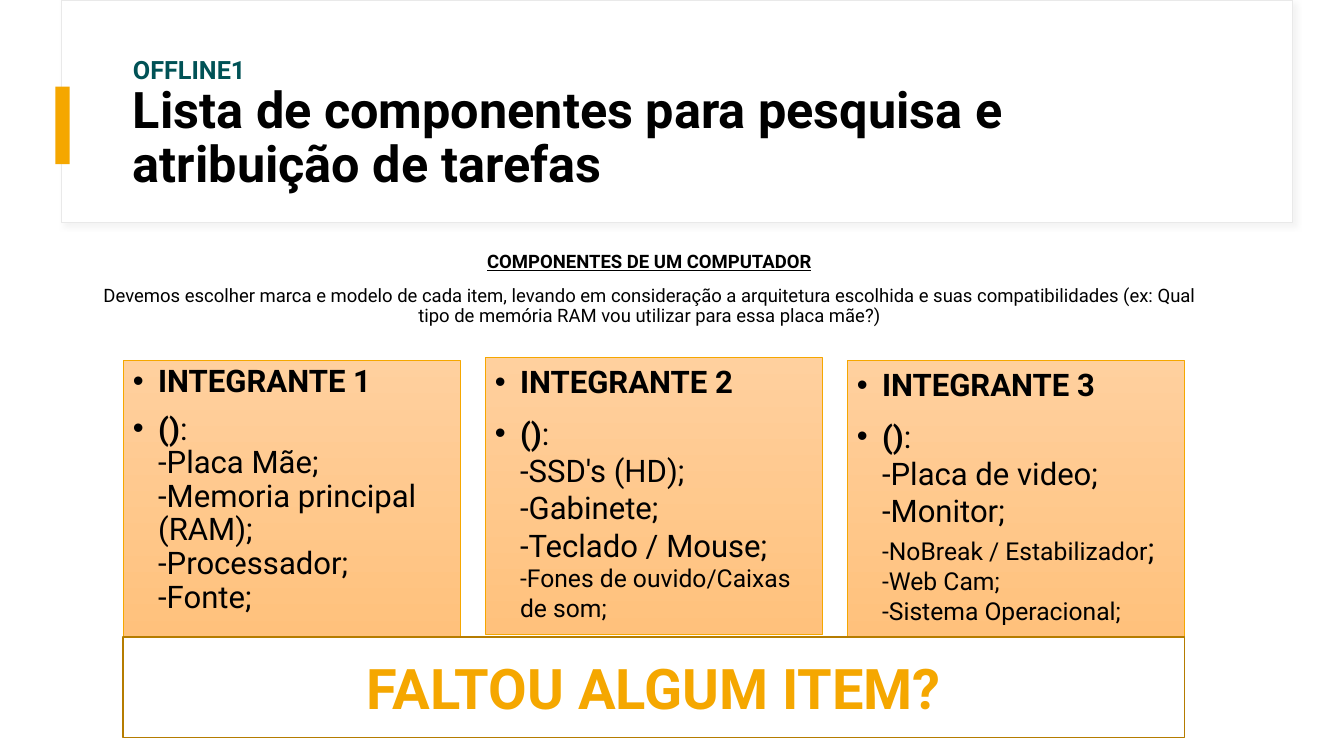
from lxml import etree
from pptx import Presentation
from pptx import util as u
from pptx.dml import color
from pptx.enum import shapes, text
from pptx.oxml import ns

RGBColor = color.RGBColor
WHITE = RGBColor(0xFF, 0xFF, 0xFF)
BLACK = RGBColor(0, 0, 0)
TEAL = RGBColor(0x00, 0x52, 0x56)
AMBER = RGBColor(0xF5, 0xA7, 0x00)
BROWN = RGBColor(0xB5, 0x7C, 0x00)
GREY = RGBColor(0xE9, 0xE9, 0xE9)
PEACH = RGBColor(0xFF, 0xD0, 0x9E)
ORANGE = RGBColor(0xFF, 0xC1, 0x7C)
FONT = "Roboto"
BIG, SMALL = 22.2, 17.6


def add_rect(slide, box, fill, line=None, width=0.5):
    rect = slide.shapes.add_shape(shapes.MSO_SHAPE.RECTANGLE, *map(u.Inches, box))
    rect.shadow.inherit = False
    rect.fill.solid()
    rect.fill.fore_color.rgb = fill
    if line is None:
        rect.line.fill.background()
    else:
        rect.line.color.rgb = line
        rect.line.width = u.Pt(width)
    return rect


def add_frame(shape, anchor):
    frame = shape.text_frame
    frame.word_wrap = True
    frame.vertical_anchor = anchor
    return frame


def add_label(slide, box, anchor):
    return add_frame(slide.shapes.add_textbox(*map(u.Inches, box)), anchor)


def add_para(frame, first, align=text.PP_ALIGN.LEFT, lead=1.0, before=0):
    para = frame.paragraphs[0] if first else frame.add_paragraph()
    para.alignment = align
    para.line_spacing = lead
    para.space_before = u.Pt(before)
    return para


def add_run(para, words, size, ink=BLACK, bold=False, under=False):
    for i, part in enumerate(words.split("\n")):
        if i:
            para.add_line_break()
        if part:
            run = para.add_run()
            run.text = part
            font = run.font
            font.name, font.size, font.bold = FONT, u.Pt(size), bold
            font.underline = under
            font.color.rgb = ink


def add_bullet(para):
    props = para._p.get_or_add_pPr()
    props.set("marL", str(u.Inches(0.25)))
    props.set("indent", str(u.Inches(-0.25)))
    etree.SubElement(props, ns.qn("a:buFont"), typeface="Arial")
    etree.SubElement(props, ns.qn("a:buChar"), char="•")


def add_shade(shape):
    effects = shape._element.spPr.find(ns.qn("a:effectLst"))
    shade = etree.SubElement(effects, ns.qn("a:outerShdw"), blurRad=str(u.Pt(4)),
                             dist=str(u.Pt(3)), dir="2700000", algn="tl")
    tint = etree.SubElement(shade, ns.qn("a:srgbClr"), val="D9D9D9")
    etree.SubElement(tint, ns.qn("a:alpha"), val="30000")


def add_header(slide, box):
    left, top, width, height = box
    # Panel with a soft shadow and an accent bar
    add_shade(add_rect(slide, box, WHITE, GREY, 0.75))
    add_rect(slide, (left - 0.06, top + 0.86, 0.14, 0.77), AMBER)
    # Title
    frame = add_label(slide, (left + 0.61, top + 0.6, width - 1.09, 1.29),
                      text.MSO_ANCHOR.MIDDLE)
    para = add_para(frame, True, lead=0.9)
    add_run(para, "OFFLINE1\n", 18, TEAL, bold=True)
    add_run(para, "Lista de componentes para pesquisa e atribuição de tarefas",
            36, bold=True)


def add_intro(slide, box):
    frame = add_label(slide, box, text.MSO_ANCHOR.BOTTOM)
    center = text.PP_ALIGN.CENTER
    head = add_para(frame, True, center, 0.9, 10)
    add_run(head, "COMPONENTES DE UM COMPUTADOR", 13.2, bold=True, under=True)
    body = add_para(frame, False, center, 0.9, 10)
    add_run(body, "Devemos escolher marca e modelo de cada item, levando em "
            "consideração a arquitetura escolhida e suas compatibilidades (ex: Qual "
            "tipo de memória RAM vou utilizar para essa placa mãe?)", 13.2)


def add_card(slide, box, name, items, lead):
    card = add_rect(slide, box, PEACH, AMBER)
    card.fill.gradient()
    card.fill.gradient_angle = 270
    for stop, tone in zip(card.fill.gradient_stops, (PEACH, ORANGE)):
        stop.color.rgb = tone
    frame = add_frame(card, text.MSO_ANCHOR.TOP)
    head = add_para(frame, True, lead=lead, before=10)
    add_bullet(head)
    add_run(head, name, BIG, bold=True)
    tasks = add_para(frame, False, lead=lead, before=10)
    add_bullet(tasks)
    add_run(tasks, "()", BIG, bold=True)
    for words, size in items:
        add_run(tasks, words, size)


def add_banner(slide, box):
    frame = add_frame(add_rect(slide, box, WHITE, BROWN, 1), text.MSO_ANCHOR.MIDDLE)
    para = add_para(frame, True, text.PP_ALIGN.CENTER)
    add_run(para, "FALTOU ALGUM ITEM?", 40, AMBER, bold=True)


# Top offset, line spacing and tasks of each team member
CARDS = [
    (3.58, 0.9, [(":\n-Placa Mãe;\n-Memoria principal (RAM);\n-Processador;\n-Fonte;",
                  BIG)]),
    (3.55, 1.0, [(":\n-SSD's (HD);\n-Gabinete;\n-Teclado / Mouse;\n", BIG),
                 ("-Fones de ouvido/Caixas de som;", SMALL)]),
    (3.58, 1.0, [(":\n-Placa de video;\n-Monitor;\n", BIG),
                 ("-NoBreak / Estabilizador", SMALL), (";\n", BIG),
                 ("-Web Cam;\n-Sistema Operacional;", SMALL)]),
]

deck = Presentation()
deck.slide_width, deck.slide_height = u.Inches(13.33), u.Inches(7.5)
page = deck.slides.add_slide(deck.slide_layouts[6])
add_header(page, (0.61, 0, 12.21, 2.21))
add_intro(page, (0.88, 2.38, 11.12, 0.91))
for i, (top, lead, items) in enumerate(CARDS):
    add_card(page, (1.22 + 3.59 * i, top, 3.35, 2.74), f"INTEGRANTE {i + 1}",
             items, lead)
add_banner(page, (1.22, 6.32, 10.53, 1))
deck.save("out.pptx")
